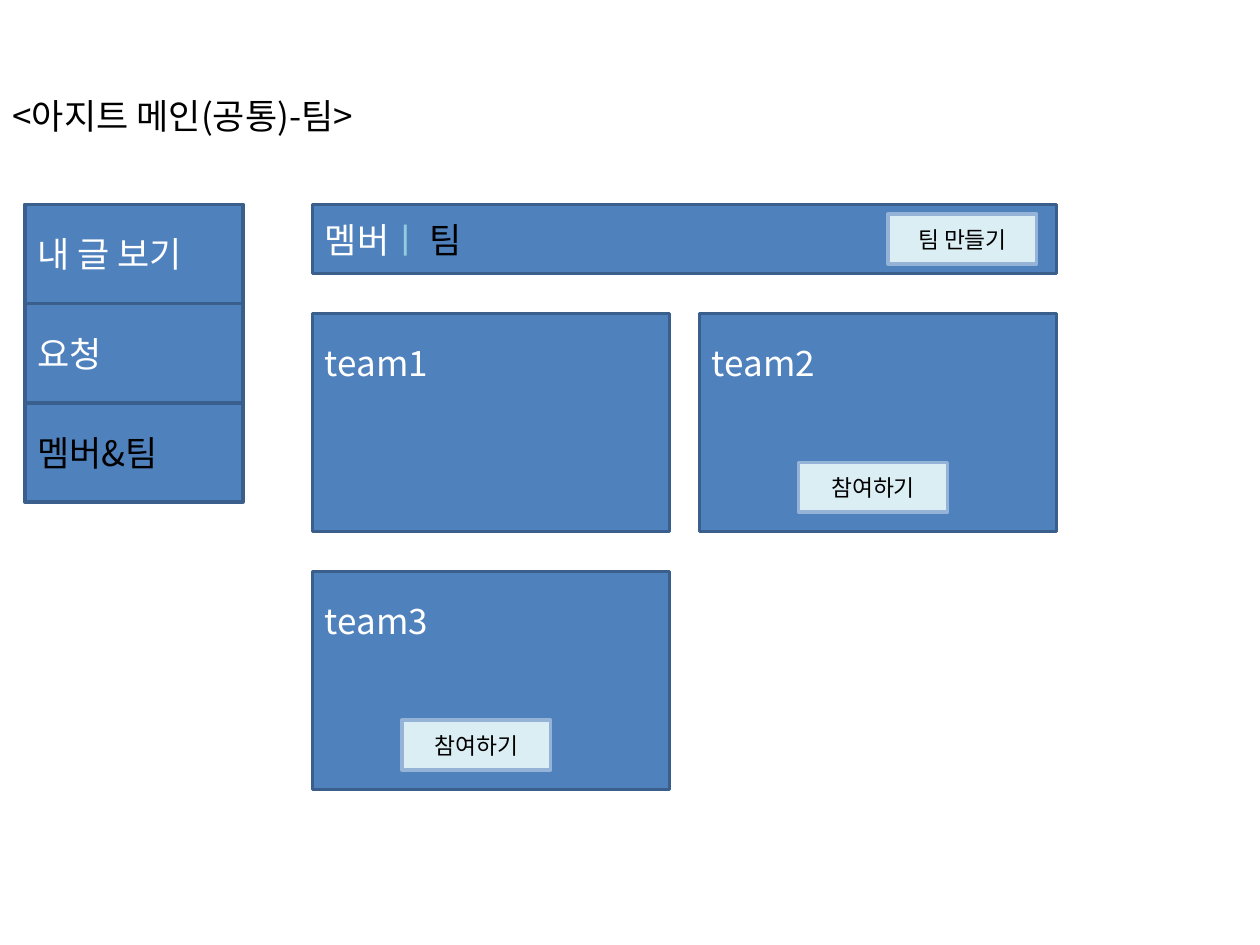
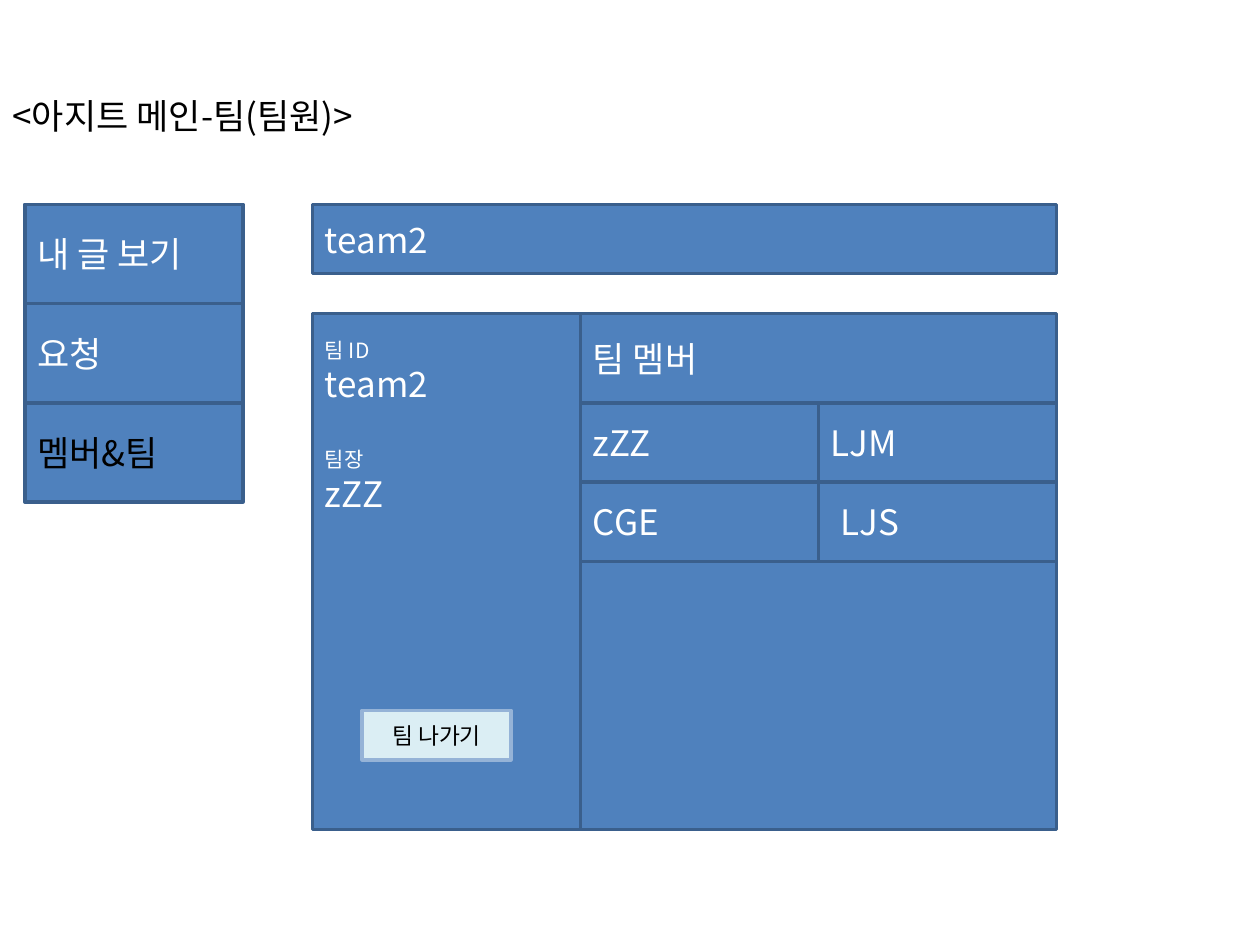
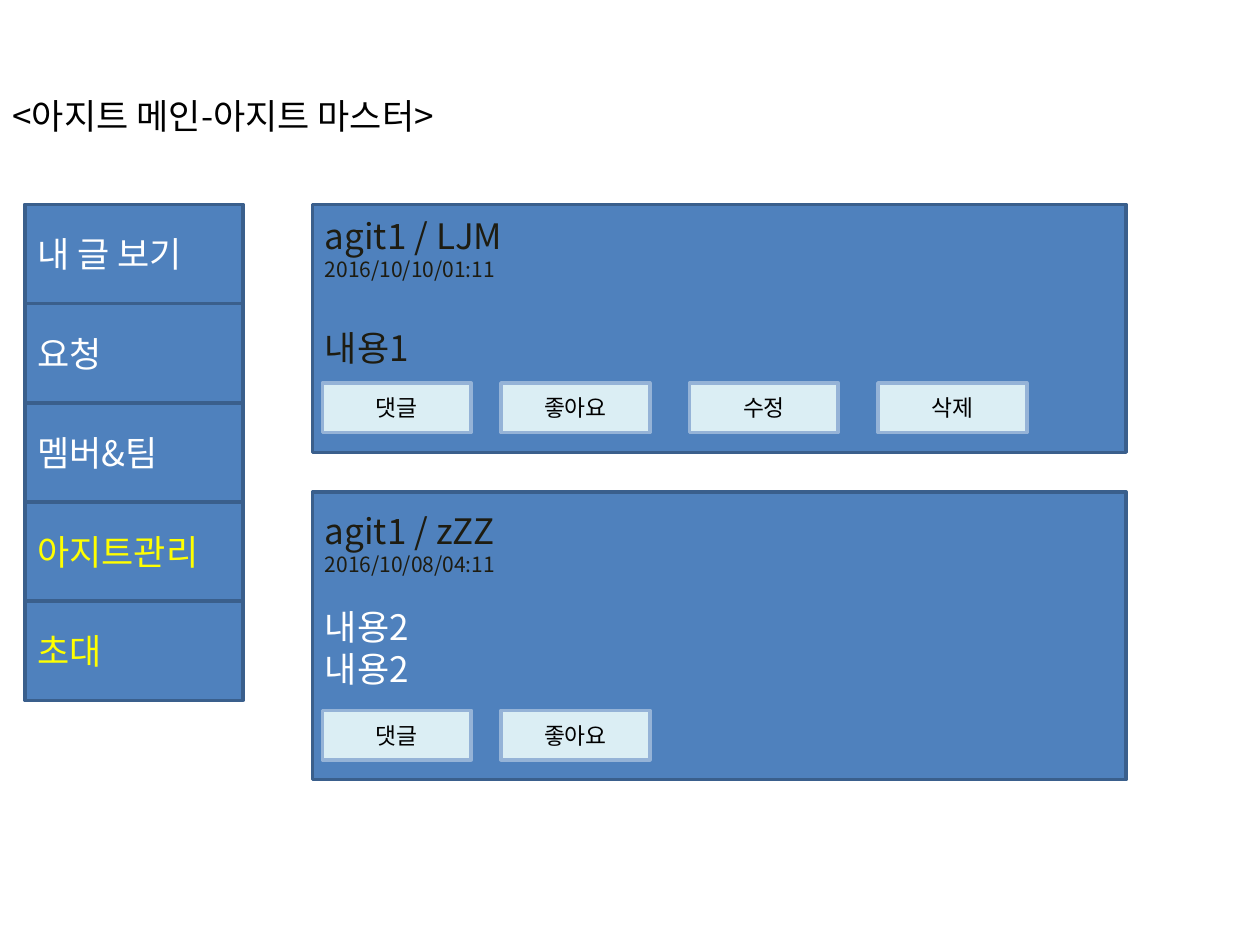
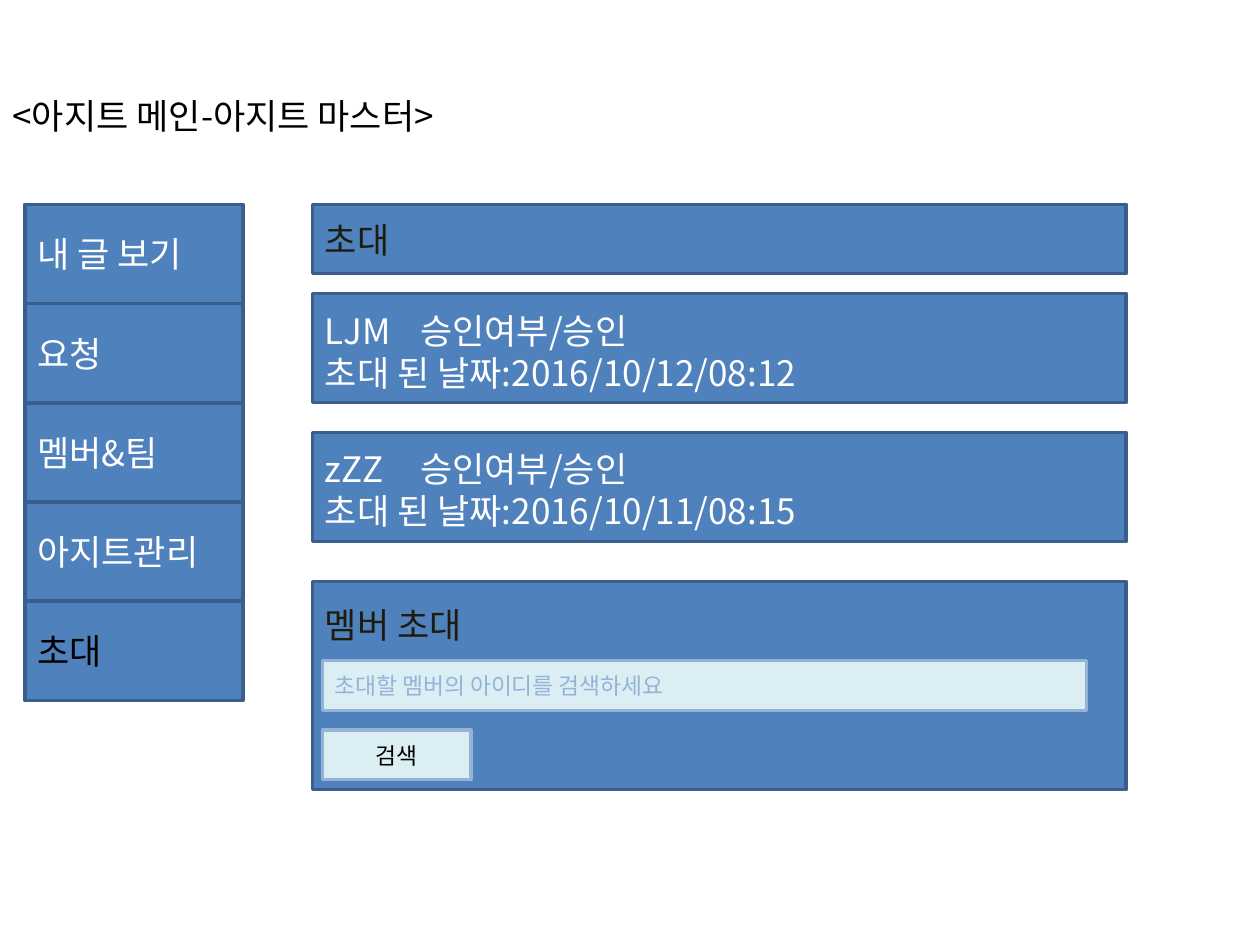
import pptx
import pptx.util
import pptx.dml.color
import pptx.enum.shapes
import pptx.enum.text
import pptx.oxml.ns
from lxml import etree

Cm, Pt = pptx.util.Cm, pptx.util.Pt
FONT = "Noto Sans CJK KR"
COLORS = {
    "panel": "4F81BD", "panel_line": "3A5F8C",
    "button": "DBEEF4", "button_line": "95B3D7",
    "white": "FFFFFF", "black": "000000", "dark": "1E1C11",
    "yellow": "FFFF00", "divider": "93CDDD", "hint": "95B3D7",
}
BIG, SMALL, BUTTON_TEXT = 20, 12, 13
LEFT, TOP = 6.3, 4.12
MENU_X, MENU_W, MENU_H = 0.5, 4.4, 2
HEADER_H = 1.4
BUTTON_W, BUTTON_H = 3, 1
TEAM_W, TEAM_H, TEAM_GAP_X, TEAM_GAP_Y = 7.2, 4.4, 0.6, 0.8
BODY_Y = 2.2
NARROW, WIDE = 15, 16.4
INFO_W, MEMBER_W, MEMBER_H, MEMBER_HEAD_H, BODY_H = 5.4, 4.8, 1.6, 1.8, 10.4
TAB_STOP = 1.92

MENU = ["내 글 보기", "요청", "멤버&팀", "아지트관리", "초대"]
MASTER_TITLE = "<아지트 메인-아지트 마스터>"
TEAM_TABS = [("멤버", "white"), ("ㅣ ", "divider"), ("팀", "black")]
TEAMS = [("team1", None), ("team2", 2), ("team3", 1.8)]
TEAM_INFO = [
    ("팀 ID", SMALL, "white", 0), ("team2", BIG, "white", 0),
    ("팀장", SMALL, "white", 24), ("zZZ", BIG, "white", 0),
]
MEMBERS = [("zZZ", 0.25), ("LJM", 0.25), ("CGE", 0.25), ("LJS", 0.45)]
POSTS = [
    {"y": 0, "h": 5, "inset": 0.2, "button_y": 3.6,
     "lines": [("agit1 / LJM", BIG, "dark", 0), ("2016/10/10/01:11", SMALL, "dark", 0),
               ("내용1", BIG, "dark", 26)],
     "buttons": [("댓글", 0.2), ("좋아요", 3.8), ("수정", 7.6), ("삭제", 11.4)]},
    {"y": 5.8, "h": 5.8, "inset": 0.36, "button_y": 10.2,
     "lines": [("agit1 / zZZ", BIG, "dark", 0), ("2016/10/08/04:11", SMALL, "dark", 0),
               ("내용2", BIG, "white", 16), ("내용2", BIG, "white", 0)],
     "buttons": [("댓글", 0.2), ("좋아요", 3.8)]},
]
INVITES = [("LJM", "2016/10/12/08:12"), ("zZZ", "2016/10/11/08:15")]


def rgb(name):
    return pptx.dml.color.RGBColor.from_string(COLORS[name])


def add_run(p, text, size, color):
    r = p.add_run()
    r.text = text
    for key, value in {"size": Pt(size), "name": FONT, "bold": False}.items():
        setattr(r.font, key, value)
    r.font.color.rgb = rgb(color)
    ea = etree.SubElement(r.font._element, pptx.oxml.ns.qn("a:ea"))
    ea.set("typeface", FONT)


def format_frame(tf, **changes):
    values = {
        "word_wrap": True, "auto_size": pptx.enum.text.MSO_AUTO_SIZE.NONE,
        "vertical_anchor": pptx.enum.text.MSO_ANCHOR.MIDDLE,
        "margin_left": Cm(0.25), "margin_right": Cm(0.25),
        "margin_top": Cm(0.13), "margin_bottom": Cm(0.13),
    }
    for key, value in (values | changes).items():
        setattr(tf, key, value)


def add_box(s, x, y, w, h, runs=(), size=BIG, kind="panel", centred=False, indent=0.25):
    sp = s.shapes.add_shape(pptx.enum.shapes.MSO_SHAPE.RECTANGLE,
                            Cm(x), Cm(y), Cm(w), Cm(h))
    sp.shadow.inherit = False
    sp.fill.solid()
    sp.fill.fore_color.rgb = rgb(kind)
    sp.line.color.rgb = rgb(kind + "_line")
    sp.line.width = Pt(2)
    format_frame(sp.text_frame, margin_left=Cm(indent))
    p = sp.text_frame.paragraphs[0]
    p.alignment = pptx.enum.text.PP_ALIGN.CENTER if centred else pptx.enum.text.PP_ALIGN.LEFT
    for text, color in runs:
        add_run(p, text, size, color)
    return sp


def add_panel(s, x, y, w, h, runs=(), **options):
    return add_box(s, LEFT + x, TOP + y, w, h, runs, **options)


def add_button(s, text, x, y):
    add_panel(s, x, y, BUTTON_W, BUTTON_H, [(text, "black")],
              size=BUTTON_TEXT, kind="button", centred=True)


def add_card(s, x, y, w, h, lines, inset):
    tf = add_panel(s, x, y, w, h).text_frame
    format_frame(tf, vertical_anchor=pptx.enum.text.MSO_ANCHOR.TOP, margin_top=Cm(inset))
    for i, (text, size, color, before) in enumerate(lines):
        p = tf.add_paragraph() if i else tf.paragraphs[0]
        values = {"alignment": pptx.enum.text.PP_ALIGN.LEFT,
                  "line_spacing": Pt(size * 1.2), "space_before": Pt(before)}
        for key, value in values.items():
            setattr(p, key, value)
        if "\t" in text:
            tabs = etree.SubElement(p._p.get_or_add_pPr(), pptx.oxml.ns.qn("a:tabLst"))
            tab = etree.SubElement(tabs, pptx.oxml.ns.qn("a:tab"))
            tab.set("pos", str(Cm(TAB_STOP)))
            tab.set("algn", "l")
        add_run(p, text, size, color)


def start_slide(prs, title, menu_count, menu_colors):
    s = prs.slides.add_slide(prs.slide_layouts[5])
    sp = s.shapes.title
    for key, value in {"left": 0, "top": 1.32, "width": 23.1, "height": 2}.items():
        setattr(sp, key, Cm(value))
    format_frame(sp.text_frame)
    p = sp.text_frame.paragraphs[0]
    p.alignment = pptx.enum.text.PP_ALIGN.LEFT
    add_run(p, title, BIG, "black")
    for i, item in enumerate(MENU[:menu_count]):
        add_box(s, MENU_X, TOP + i * MENU_H, MENU_W, MENU_H,
                [(item, menu_colors.get(item, "white"))])
    return s


def build_team_list(prs):
    s = start_slide(prs, "<아지트 메인(공통)-팀>", 3, {"멤버&팀": "black"})
    add_panel(s, 0, 0, NARROW, HEADER_H, TEAM_TABS)
    add_button(s, "팀 만들기", 11.6, 0.2)
    for i, (team, button_x) in enumerate(TEAMS):
        row, col = divmod(i, 2)
        x = col * (TEAM_W + TEAM_GAP_X)
        y = BODY_Y + row * (TEAM_H + TEAM_GAP_Y)
        add_card(s, x, y, TEAM_W, TEAM_H, [(team, BIG, "white", 0)], 0.56)
        if button_x:
            add_button(s, "참여하기", x + button_x, y + 3)


def build_team_page(prs):
    s = start_slide(prs, "<아지트 메인-팀(팀원)>", 3, {"멤버&팀": "black"})
    add_panel(s, 0, 0, NARROW, HEADER_H, [("team2", "white")])
    add_card(s, 0, BODY_Y, INFO_W, BODY_H, TEAM_INFO, 0.49)
    add_panel(s, INFO_W, BODY_Y, 2 * MEMBER_W, MEMBER_HEAD_H, [("팀 멤버", "white")])
    grid_y = BODY_Y + MEMBER_HEAD_H
    for i, (member, indent) in enumerate(MEMBERS):
        row, col = divmod(i, 2)
        add_panel(s, INFO_W + col * MEMBER_W, grid_y + row * MEMBER_H,
                  MEMBER_W, MEMBER_H, [(member, "white")], indent=indent)
    rest_y = grid_y + 2 * MEMBER_H
    add_panel(s, INFO_W, rest_y, 2 * MEMBER_W, BODY_Y + BODY_H - rest_y)
    add_button(s, "팀 나가기", 1, 10.2)


def build_posts(prs):
    s = start_slide(prs, MASTER_TITLE, 5, {"아지트관리": "yellow", "초대": "yellow"})
    for post in POSTS:
        add_card(s, 0, post["y"], WIDE, post["h"], post["lines"], post["inset"])
        for text, x in post["buttons"]:
            add_button(s, text, x, post["button_y"])


def build_invites(prs):
    s = start_slide(prs, MASTER_TITLE, 5, {"초대": "black"})
    add_panel(s, 0, 0, WIDE, HEADER_H, [("초대", "dark")])
    for i, (member, date) in enumerate(INVITES):
        lines = [(f"{member}\t승인여부/승인", BIG, "white", 0),
                 (f"초대 된 날짜:{date}", BIG, "white", 0)]
        add_card(s, 0, 1.8 + i * 2.8, WIDE, 2.2, lines, 0.31)
    add_card(s, 0, 7.6, WIDE, 4.2, [("멤버 초대", BIG, "dark", 0)], 0.45)
    add_panel(s, 0.2, 9.2, 15.4, BUTTON_H, [("초대할 멤버의 아이디를 검색하세요", "hint")],
              size=BUTTON_TEXT, kind="button")
    add_button(s, "검색", 0.2, 10.6)


def main():
    prs = pptx.Presentation()
    prs.slide_width, prs.slide_height = Cm(25.4), Cm(19.05)
    for build in (build_team_list, build_team_page, build_posts, build_invites):
        build(prs)
    prs.save("out.pptx")


if __name__ == "__main__":
    main()
